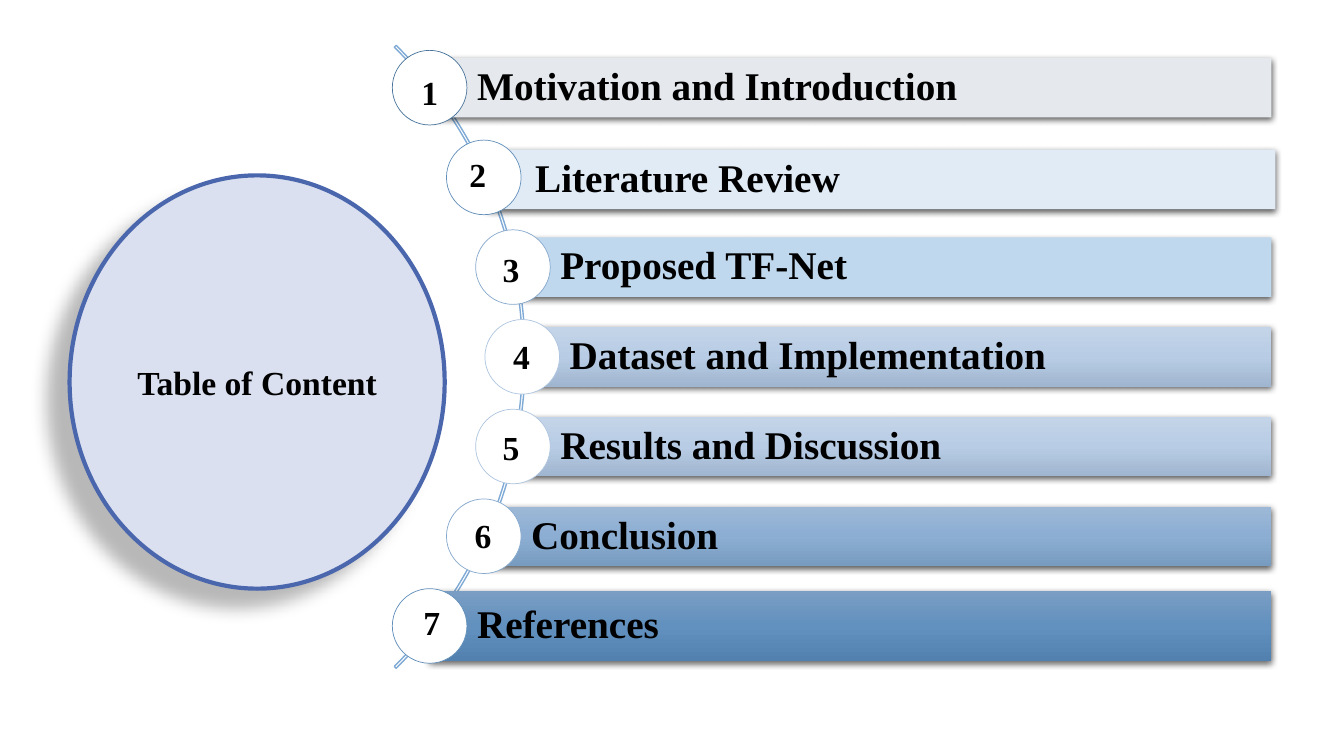
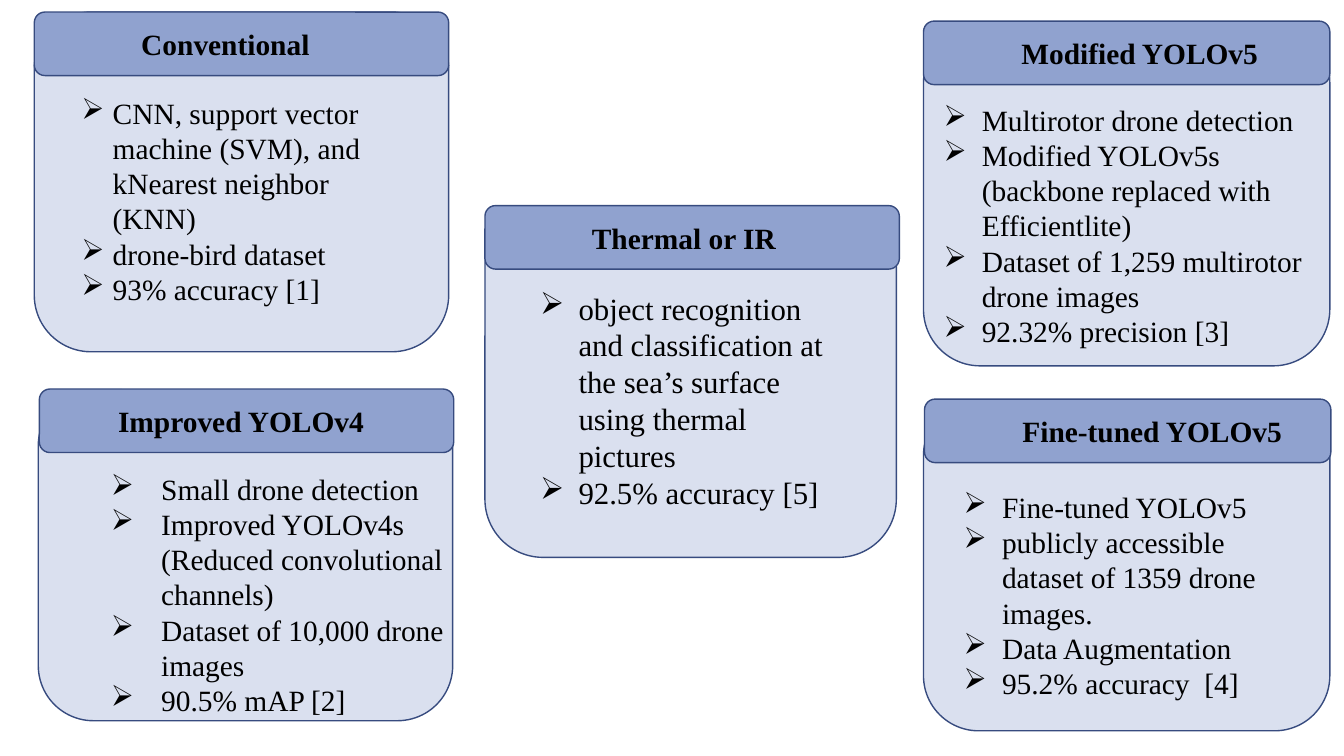
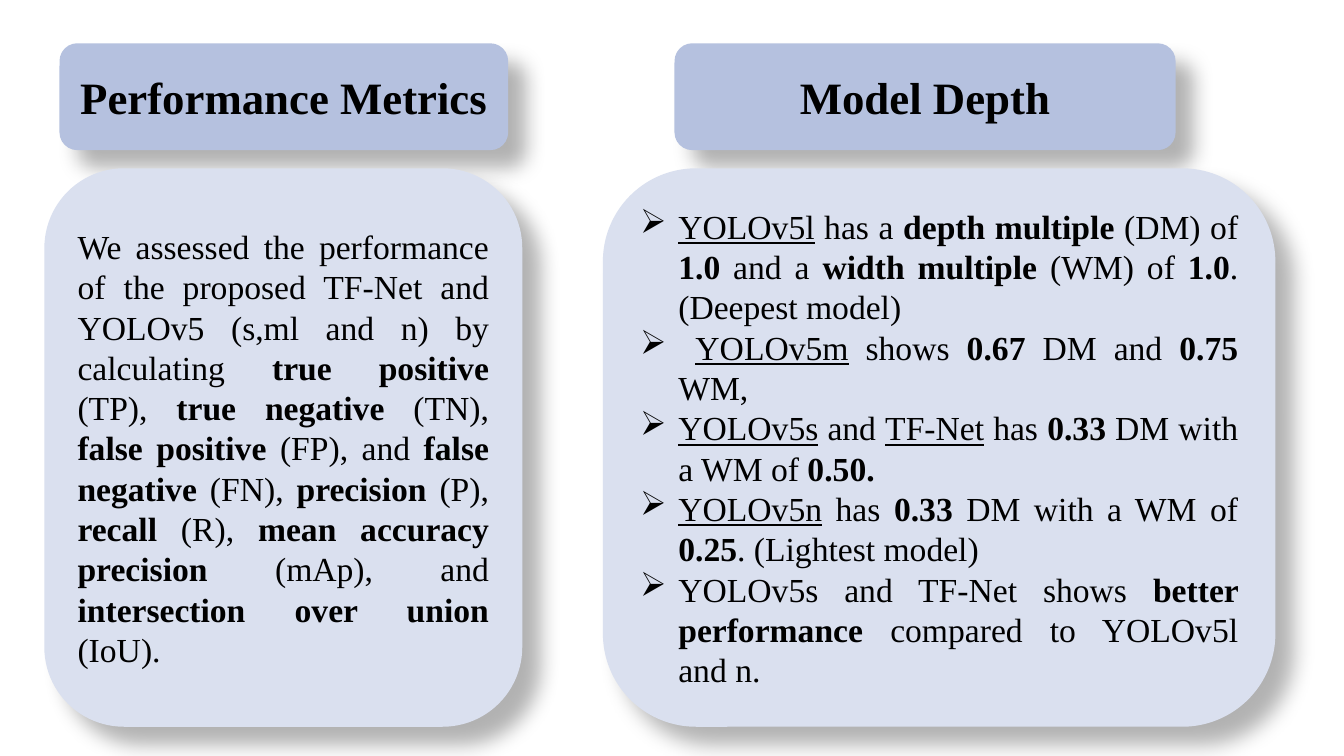
import copy
import math
from dataclasses import dataclass

from lxml import etree
from pptx import Presentation
from pptx.dml.color import RGBColor
from pptx.enum import shapes, text
from pptx.oxml import ns
from pptx.util import Inches, Pt

FONT = "Times New Roman"
BLACK = RGBColor(0x00, 0x00, 0x00)
WHITE = RGBColor(0xFF, 0xFF, 0xFF)
PANEL = RGBColor(0xDA, 0xE0, 0xEF)
HEADING = RGBColor(0xB5, 0xC1, 0xDF)
CARD_HEADER = RGBColor(0x90, 0xA2, 0xCF)
CARD_EDGE = RGBColor(0x37, 0x4B, 0x7F)
DISC_EDGE = RGBColor(0x4A, 0x66, 0xAC)
ARC_EDGE = RGBColor(0x7F, 0xAA, 0xD6)
RING_STEEL = RGBColor(0x49, 0x74, 0x9B)
RING_BLUE = RGBColor(0x62, 0x8F, 0xBA)
RING_SOFT = RGBColor(0x87, 0xA9, 0xCD)
RING_PALE = RGBColor(0xAE, 0xC5, 0xDF)
BAR_GREY = RGBColor(0xE5, 0xE9, 0xEE)
BAR_ICE = RGBColor(0xE0, 0xEB, 0xF6)
BAR_SKY = RGBColor(0xC0, 0xD8, 0xED)
BAR_PALE = (RGBColor(0xC4, 0xD4, 0xE8), RGBColor(0xB8, 0xCC, 0xE5), RGBColor(0xA0, 0xB5, 0xCF))
BAR_MID = (RGBColor(0x9D, 0xB8, 0xD6), RGBColor(0x8C, 0xAE, 0xD3), RGBColor(0x78, 0x9B, 0xC0))
BAR_DEEP = (RGBColor(0x7A, 0x9D, 0xC3), RGBColor(0x62, 0x91, 0xBF), RGBColor(0x52, 0x81, 0xAF))

LEFT, CENTER, JUSTIFY = text.PP_ALIGN.LEFT, text.PP_ALIGN.CENTER, text.PP_ALIGN.JUSTIFY
KIND = shapes.MSO_SHAPE

# opacity in percent, blur and distance in points, direction in degrees
BAR_SHADOW = (63, 4.5, 1.5, 90)
DISC_SHADOW = (28, 11.8, 19.7, 141)
PANEL_SHADOW = (30, 15, 18, 45)


def add_shadow(shape, opacity, blur, distance, direction):
    effects = shape._element.spPr.find(ns.qn("a:effectLst"))
    outer = etree.SubElement(effects, ns.qn("a:outerShdw"), blurRad=str(Pt(blur)),
                             dist=str(Pt(distance)), dir=str(direction * 60000),
                             algn="ctr", rotWithShape="0")
    color = etree.SubElement(outer, ns.qn("a:srgbClr"), val=str(BLACK))
    etree.SubElement(color, ns.qn("a:alpha"), val=str(opacity * 1000))


def fill_gradient(shape, colors):
    """Fill from top to bottom with three evenly spaced colours."""
    shape.fill.gradient()
    shape.fill.gradient_angle = 270
    first = shape._element.spPr.find(".//" + ns.qn("a:gs"))
    first.addnext(copy.deepcopy(first))
    for stop, position, color in zip(shape.fill.gradient_stops, (0, 0.5, 1), colors):
        stop.position = position
        stop.color.rgb = color


def add_box(page, kind, box, fill=None, edge=None, edge_width=1, shadow=None):
    shape = page.shapes.add_shape(kind, *map(Inches, box))
    shape.shadow.inherit = False
    if fill is None:
        shape.fill.background()
    elif isinstance(fill, RGBColor):
        shape.fill.solid()
        shape.fill.fore_color.rgb = fill
    else:
        fill_gradient(shape, fill)
    if edge is None:
        shape.line.fill.background()
    else:
        shape.line.color.rgb = edge
        shape.line.width = Pt(edge_width)
    if shadow:
        add_shadow(shape, *shadow)
    return shape


def add_bullet(para, indent):
    props = para._p.get_or_add_pPr()
    props.set("marL", str(Inches(indent)))
    props.set("indent", str(-Inches(indent)))
    etree.SubElement(props, ns.qn("a:buChar"), char="➢")


def write(shape, paragraphs, size, bold=False, align=LEFT, anchor=text.MSO_ANCHOR.MIDDLE,
          bullet_indent=None, line_spacing=None):
    """Fill a shape with paragraphs, each a list of (words, style) spans; b is bold, u underlined."""
    frame = shape.text_frame
    frame.word_wrap = True
    frame.vertical_anchor = anchor
    for index, spans in enumerate(paragraphs):
        para = frame.add_paragraph() if index else frame.paragraphs[0]
        para.alignment = align
        if line_spacing:
            para.line_spacing = line_spacing
        if bullet_indent:
            add_bullet(para, bullet_indent)
        for words, style in spans:
            span = para.add_run()
            span.text = words
            span.font.name = FONT
            span.font.size = Pt(size)
            span.font.color.rgb = BLACK
            span.font.bold = bold or style == "b"
            if style == "u":
                span.font.underline = True


def plain(*lines):
    return [[(line, "")] for line in lines]


def add_label(page, box, paragraphs, size, **style):
    label = page.shapes.add_textbox(*map(Inches, box))
    write(label, paragraphs, size, anchor=text.MSO_ANCHOR.TOP, **style)


# Contents slide

@dataclass
class Topic:
    name: str
    fill: object
    ring: RGBColor
    number_offset: tuple  # from the ring's centre to the number's box
    height: float = 0.59
    bar_shift: tuple = (0, 0)


TOPICS = [
    Topic("Motivation and Introduction", BAR_GREY, RING_STEEL, (-0.18, -0.21)),
    Topic("Literature Review", BAR_ICE, RING_BLUE, (-0.24, -0.28), bar_shift=(0.04, 0.02)),
    Topic("Proposed TF-Net", BAR_SKY, RING_SOFT, (-0.2, -0.23)),
    Topic("Dataset and Implementation", BAR_PALE, RING_PALE, (-0.19, -0.26)),
    Topic("Results and Discussion", BAR_PALE, RING_PALE, (-0.2, -0.24)),
    Topic("Conclusion", BAR_MID, RING_SOFT, (-0.19, -0.26)),
    Topic("References", BAR_DEEP, RING_BLUE, (-0.16, -0.29), height=0.69),
]
ARC_X, ARC_Y, ARC_RADIUS = 0.84, 3.54, 4.37
RING_RADIUS, RING_TRACK, RING_STEP = 0.37, 4.34, 0.89
BARS_RIGHT = 12.61


def add_topic(page, topic, number, x, y):
    """Place bar, ring and number around the ring's centre."""
    shift_x, shift_y = topic.bar_shift
    bar = add_box(page, KIND.RECTANGLE,
                  (x + shift_x, y - topic.height / 2 + shift_y, BARS_RIGHT - x, topic.height),
                  topic.fill, shadow=BAR_SHADOW)
    bar.text_frame.margin_left = Inches(0.47)
    write(bar, plain(topic.name), 28, bold=True, line_spacing=0.9)
    add_box(page, KIND.OVAL, (x - RING_RADIUS, y - RING_RADIUS, 2 * RING_RADIUS, 2 * RING_RADIUS),
            WHITE, topic.ring, 0.5)
    offset_x, offset_y = topic.number_offset
    add_label(page, (x + offset_x, y + offset_y, 0.43, 0.5), plain(str(number)), 24, bold=True)


def build_contents(page):
    arc = add_box(page, KIND.BLOCK_ARC, (ARC_X - ARC_RADIUS, ARC_Y - ARC_RADIUS,
                                         2 * ARC_RADIUS, 2 * ARC_RADIUS), edge=ARC_EDGE)
    for index, value in enumerate((189, 27, 0.003)):
        arc.adjustments[index] = value
    for index, topic in enumerate(TOPICS):
        rise = (index - len(TOPICS) // 2) * RING_STEP
        x = ARC_X + math.sqrt(RING_TRACK ** 2 - rise ** 2)
        add_topic(page, topic, index + 1, x, ARC_Y + rise)
    disc = add_box(page, KIND.OVAL, (0.69, 1.74, 3.72, 4.1), PANEL, DISC_EDGE, 3, DISC_SHADOW)
    write(disc, plain("Table of Content"), 24, bold=True, align=CENTER)


# Literature slide

@dataclass
class Card:
    title: str
    points: list
    body: tuple
    header: tuple  # left, top, width
    points_offset: tuple  # from the body's corner
    points_width: float
    indent: float = 0.38
    title_margin: float = 1.03
    size: int = 21


CARDS = [
    Card("Conventional",
         ["CNN, support vector machine (SVM), and kNearest neighbor (KNN)",
          "drone-bird dataset", "93% accuracy [1]"],
         (0.34, 0.12, 4.11, 3.37), (0.34, 0.12, 4.11), (0.37, 0.77), 3.46, indent=0.31),
    Card("Improved YOLOv4",
         ["Small drone detection", "Improved YOLOv4s (Reduced convolutional channels)",
          "Dataset of 10,000 drone images", "90.5% mAP [2]"],
         (0.38, 3.87, 4.11, 3.28), (0.39, 3.86, 4.11), (0.62, 0.75), 3.61,
         indent=0.5, title_margin=0.75),
    Card("Thermal or IR",
         ["object recognition and classification at the sea’s surface using thermal pictures",
          "92.5% accuracy [5]"],
         (4.81, 2.07, 4.08, 3.46), (4.81, 2.04, 4.11), (0.45, 0.75), 3.17, size=22),
    Card("Modified YOLOv5",
         ["Multirotor drone detection", "Modified YOLOv5s (backbone replaced with Efficientlite)",
          "Dataset of 1,259 multirotor drone images", "92.32% precision [3]"],
         (9.16, 0.26, 4.03, 3.37), (9.16, 0.21, 4.03), (0.1, 0.7), 3.86, title_margin=0.94),
    Card("Fine-tuned YOLOv5",
         ["Fine-tuned YOLOv5", "publicly accessible dataset of 1359 drone images.",
          "Data Augmentation", "95.2% accuracy  [4]"],
         (9.16, 3.97, 4.03, 3.28), (9.17, 3.96, 4.03), (0.3, 0.83), 3.59, title_margin=0.94),
]
HEADER_HEIGHT = 0.63


def add_card(page, card):
    add_box(page, KIND.ROUNDED_RECTANGLE, card.body, PANEL, CARD_EDGE)
    header = add_box(page, KIND.ROUNDED_RECTANGLE, (*card.header, HEADER_HEIGHT),
                     CARD_HEADER, CARD_EDGE)
    header.text_frame.margin_left = Inches(card.title_margin)
    write(header, plain(card.title), 21, bold=True)
    left, top, _, height = card.body
    offset_x, offset_y = card.points_offset
    add_label(page, (left + offset_x, top + offset_y, card.points_width, height - offset_y),
              plain(*card.points), card.size, bullet_indent=card.indent)


def build_literature(page):
    for card in CARDS:
        add_card(page, card)


# Metrics slide

METRICS = [[
    ("We assessed the performance of the proposed TF-Net and YOLOv5 (s,ml and n) by calculating ", ""),
    ("true positive ", "b"), ("(TP), ", ""), ("true negative", "b"), (" (TN), ", ""),
    ("false positive", "b"), (" (FP), and ", ""), ("false negative ", "b"), ("(FN), ", ""),
    ("precision", "b"), (" (P), ", ""), ("recall", "b"), (" (R), ", ""),
    ("mean accuracy precision ", "b"), ("(mAp), and ", ""),
    ("intersection over union ", "b"), ("(IoU).", ""),
]]
DEPTHS = [
    [("YOLOv5l", "u"), (" has a ", ""), ("depth multiple ", "b"), ("(DM) of ", ""), ("1.0", "b"),
     (" and a ", ""), ("width multiple ", "b"), ("(WM) of ", ""), ("1.0", "b"),
     (". (Deepest model)", "")],
    [(" ", ""), ("YOLOv5m", "u"), (" shows ", ""), ("0.67", "b"), (" DM and ", ""),
     ("0.75", "b"), (" WM, ", "")],
    [("YOLOv5s", "u"), (" and ", ""), ("TF-Net", "u"), (" has ", ""), ("0.33", "b"),
     (" DM with a WM of ", ""), ("0.50.", "b")],
    [("YOLOv5n", "u"), (" has ", ""), ("0.33", "b"), (" DM with a WM of ", ""), ("0.25", "b"),
     (". (Lightest model)", "")],
    [("YOLOv5s and TF-Net shows ", ""), ("better performance ", "b"),
     ("compared to YOLOv5l and n.", "")],
]


def add_panel(page, title, paragraphs, heading_span, body_span, bullet_indent=None):
    """Place a heading over a body; each span is a left edge and a width."""
    for (left, width), top, height, fill, content, size, style in (
            (heading_span, 0.43, 1.06, HEADING, plain(title), 32, {"bold": True, "align": CENTER}),
            (body_span, 1.67, 5.54, PANEL, paragraphs, 24,
             {"align": JUSTIFY, "bullet_indent": bullet_indent})):
        shape = add_box(page, KIND.ROUNDED_RECTANGLE, (left, top, width, height), fill,
                        shadow=PANEL_SHADOW)
        write(shape, content, size, **style)


def build_metrics(page):
    add_panel(page, "Performance Metrics", METRICS, (0.59, 4.45), (0.44, 4.74))
    add_panel(page, "Model Depth", DEPTHS, (6.69, 4.97), (5.98, 6.67), bullet_indent=0.38)


def main():
    deck = Presentation()
    deck.slide_width, deck.slide_height = Inches(13.33), Inches(7.5)
    blank = deck.slide_layouts[6]
    for build in (build_contents, build_literature, build_metrics):
        build(deck.slides.add_slide(blank))
    deck.save("out.pptx")


if __name__ == "__main__":
    main()
